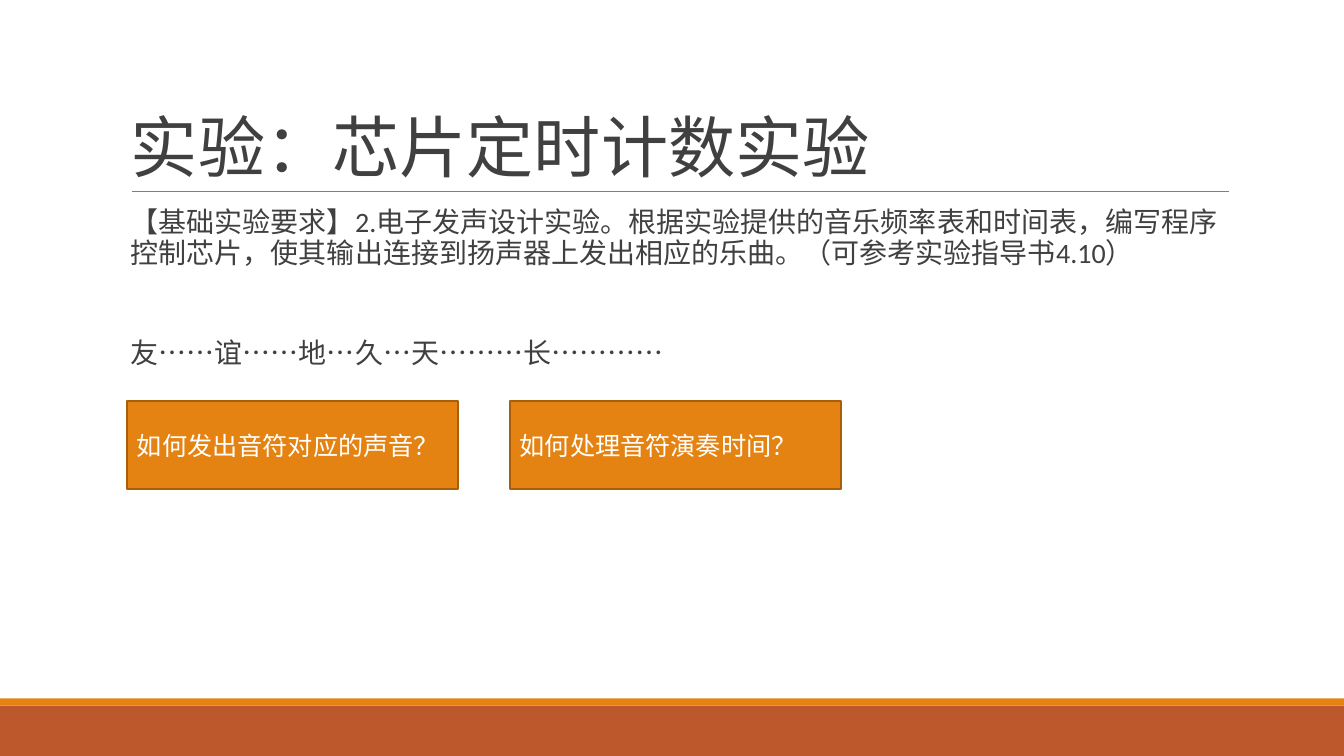
from lxml import etree
from pptx import Presentation, util as u
from pptx.dml.color import RGBColor
from pptx.enum import shapes, text
from pptx.oxml.ns import qn

COLORS = {
    "ink": "404040",
    "orange": "E48312",
    "rust": "BD582C",
    "edge": "A75F0A",
    "rule": "7F7F7F",
    "white": "FFFFFF",
}
FONT = "Calibri"
CELL = u.Inches(0.1)
WIDTH, HEIGHT = 133.4, 75
MARGIN, CONTENT_WIDTH = 12, 110


def cells(*lengths):
    return [round(length * CELL) for length in lengths]


def rgb(name):
    return RGBColor.from_string(COLORS[name])


class SlideBuilder:
    def __init__(self, presentation):
        self.slide = presentation.slides.add_slide(presentation.slide_layouts[5])

    def style(self, paragraph, size, color, spacing=1.0):
        paragraph.alignment = text.PP_ALIGN.LEFT
        paragraph.line_spacing = spacing
        paragraph.font.name = FONT
        paragraph.font.size = u.Pt(size)
        paragraph.font.color.rgb = rgb(color)

    def title(self, wording, left, top, width, height):
        heading = self.slide.shapes.title
        heading.left, heading.top, heading.width, heading.height = cells(left, top, width, height)
        frame = heading.text_frame
        frame.text = wording
        frame.auto_size = text.MSO_AUTO_SIZE.NONE
        frame.vertical_anchor = text.MSO_ANCHOR.BOTTOM
        self.style(frame.paragraphs[0], 48, "ink", 0.85)

    def body(self, wordings, left, top, width, height, gap):
        frame = self.slide.shapes.add_textbox(*cells(left, top, width, height)).text_frame
        frame.word_wrap = True
        frame.margin_right = 0
        for index, wording in enumerate(wordings):
            paragraph = frame.add_paragraph() if index else frame.paragraphs[0]
            paragraph.text = wording
            self.style(paragraph, 20, "ink", 0.9)
            if index:
                paragraph.space_before = u.Pt(gap)

    def block(self, left, top, width, height, fill, edge=None, wording=None):
        block = self.slide.shapes.add_shape(
            shapes.MSO_SHAPE.RECTANGLE, *cells(left, top, width, height))
        block.shadow.inherit = False
        block.fill.solid()
        block.fill.fore_color.rgb = rgb(fill)
        if edge:
            block.line.color.rgb = rgb(edge)
            block.line.width = u.Pt(1.25)
        else:
            block.line.fill.background()
        if wording:
            frame = block.text_frame
            frame.text = wording
            frame.vertical_anchor = text.MSO_ANCHOR.MIDDLE
            self.style(frame.paragraphs[0], 18, "white")

    def rule(self, left, right, row):
        rule = self.slide.shapes.add_connector(
            shapes.MSO_CONNECTOR.STRAIGHT, *cells(left, row, right, row))
        rule.line.color.rgb = rgb("rule")
        rule.line.width = u.Pt(0.5)
        etree.SubElement(rule._element.spPr, qn("a:effectLst"))


def main():
    presentation = Presentation()
    presentation.slide_width, presentation.slide_height = cells(WIDTH, HEIGHT)
    builder = SlideBuilder(presentation)

    builder.block(0, 70, WIDTH, 5, "rust")
    builder.block(0, 69.3, WIDTH, 0.7, "orange")
    builder.rule(13.1, 122, 19)
    builder.title("实验：芯片定时计数实验", MARGIN, 3.1, CONTENT_WIDTH, 15.9)

    requirement = (
        "【基础实验要求】2.电子发声设计实验。根据实验提供的音乐频率表和时间表，"
        "编写程序控制芯片，使其输出连接到扬声器上发出相应的乐曲。"
        "（可参考实验指导书4.10）"
    )
    lyrics = "友……谊……地…久…天………长…………"
    builder.body([requirement, lyrics], MARGIN, 20.2, CONTENT_WIDTH, 47.9, gap=50)

    questions = ["如何发出音符对应的声音？", "如何处理音符演奏时间？"]
    for column, question in enumerate(questions):
        builder.block(12.6 + 38 * column, 39.8, 32.9, 8.7, "orange", "edge", question)

    presentation.save("out.pptx")


if __name__ == "__main__":
    main()
